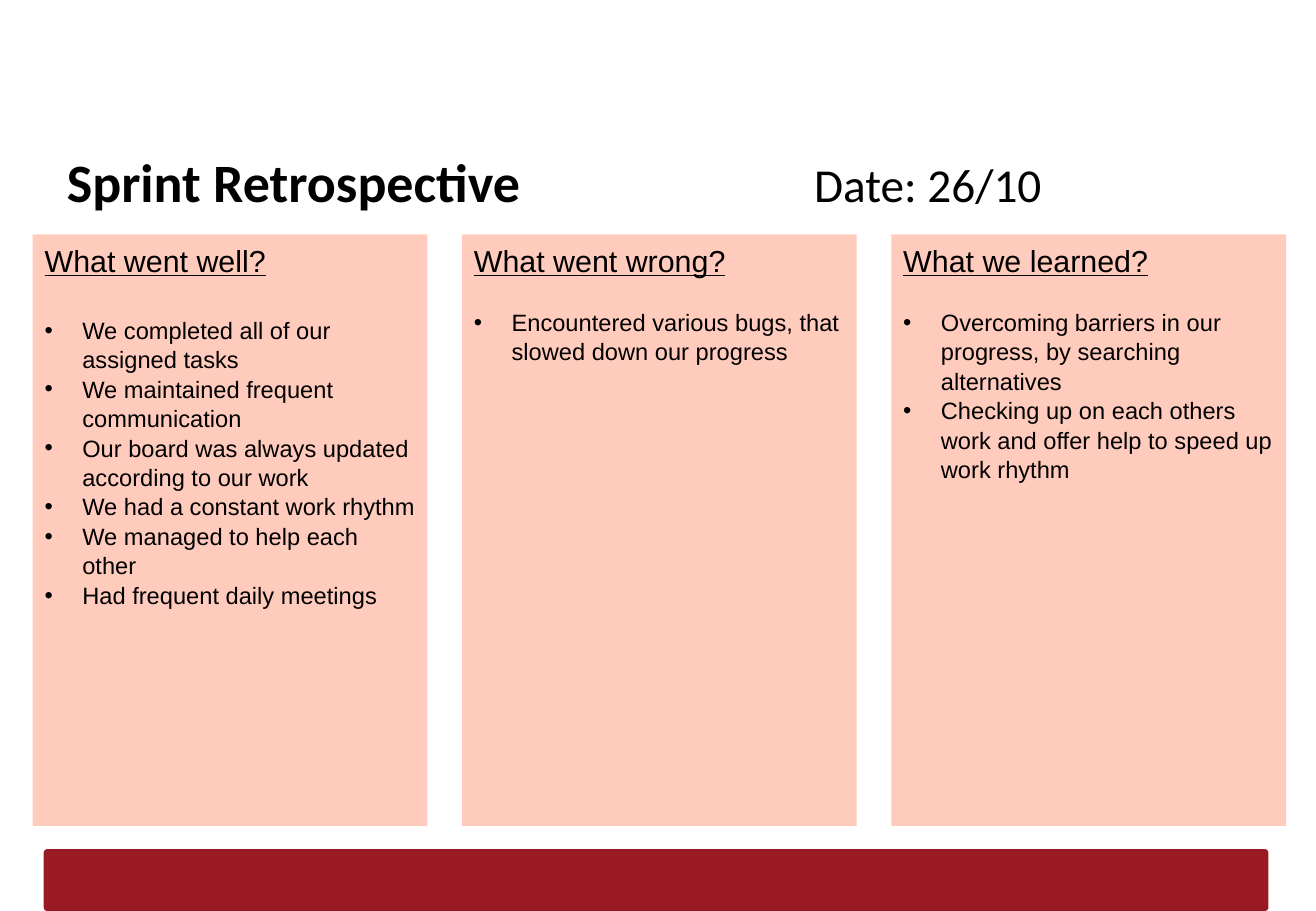
from lxml import etree
from pptx import Presentation
from pptx.dml.color import RGBColor
from pptx.enum.shapes import MSO_SHAPE
from pptx.enum.text import MSO_ANCHOR, MSO_AUTO_SIZE, PP_ALIGN
from pptx.oxml.ns import qn
from pptx.util import Inches, Pt

RECTANGLE = MSO_SHAPE.RECTANGLE
ROUNDED = MSO_SHAPE.ROUNDED_RECTANGLE
TOP = MSO_ANCHOR.TOP
LEFT = PP_ALIGN.LEFT
NO_AUTOFIT = MSO_AUTO_SIZE.NONE

WIDTH, HEIGHT = Inches(10.83), Inches(7.5)
COLORS = {"text": "000000", "panel": "FFCBBD", "bar": "9A1A24"}
LINE_SPACING = 1.04
BULLET_INDENT = Inches(0.31)
DATE_TAB = Inches(6.15)

# Boxes as percentages of the slide: left, top, width, height
TITLE_BOX = (4.16, 14.53, 91.32, 8.4)
FIRST_PANEL_BOX = (2.49, 25.73, 30, 64.93)
PANEL_STEP = 32.62
BAR_BOX = (3.32, 93.2, 93.07, 6.8)

# Heading, gap before the list in points, list items
PANELS = [
    ("What went well?", 21.5, [
        "We completed all of our assigned tasks",
        "We maintained frequent communication",
        "Our board was always updated according to our work",
        "We had a constant work rhythm",
        "We managed to help each other",
        "Had frequent daily meetings",
    ]),
    ("What went wrong?", 16.8, [
        "Encountered various bugs, that slowed down our progress",
    ]),
    ("What we learned?", 16.8, [
        "Overcoming barriers in our progress, by searching alternatives",
        "Checking up on each others work and offer help to speed up work rhythm",
    ]),
]


def place(box):
    """Turn percentages of the slide into lengths."""
    left, top, width, height = box
    return (int(WIDTH * left / 100), int(HEIGHT * top / 100),
            int(WIDTH * width / 100), int(HEIGHT * height / 100))


def write(paragraph, text, size, font="Arial", bold=False, underline=False):
    run = paragraph.add_run()
    run.text = text
    run.font.name = font
    run.font.size = Pt(size)
    run.font.bold = bold
    run.font.underline = underline
    run.font.color.rgb = RGBColor.from_string(COLORS["text"])


def add_bullet(paragraph):
    properties = paragraph._p.get_or_add_pPr()
    properties.set("marL", str(BULLET_INDENT))
    properties.set("indent", str(-BULLET_INDENT))
    etree.SubElement(properties, qn("a:buFont"), typeface="Arial")
    etree.SubElement(properties, qn("a:buChar"), char="•")


def add_block(slide, kind, box, color):
    shape = slide.shapes.add_shape(kind, *place(box))
    shape.shadow.inherit = False
    shape.fill.solid()
    shape.fill.fore_color.rgb = RGBColor.from_string(COLORS[color])
    shape.line.fill.background()
    return shape


def add_title(slide, box):
    title = slide.shapes.title
    title.left, title.top, title.width, title.height = place(box)
    frame = title.text_frame
    frame.auto_size = NO_AUTOFIT
    frame.vertical_anchor = TOP
    frame.margin_left = frame.margin_right = Inches(0.1)
    frame.margin_top, frame.margin_bottom = Inches(0.13), 0
    paragraph = frame.paragraphs[0]
    paragraph.alignment = LEFT
    # The tab stop holds the date on the right
    tabs = etree.SubElement(paragraph._p.get_or_add_pPr(), qn("a:tabLst"))
    etree.SubElement(tabs, qn("a:tab"), pos=str(DATE_TAB), algn="l")
    write(paragraph, "Sprint Retrospective\t", 32, font="Calibri", bold=True)
    write(paragraph, "Date: 26/10", 28, font="Calibri")


def add_panel(slide, box, heading, gap, items):
    frame = add_block(slide, RECTANGLE, box, "panel").text_frame
    frame.word_wrap = True
    frame.vertical_anchor = TOP
    write(frame.paragraphs[0], heading, 18, underline=True)
    for index, item in enumerate(items):
        paragraph = frame.add_paragraph()
        add_bullet(paragraph)
        if index == 0:
            paragraph.space_before = Pt(gap)
        write(paragraph, item, 14)
    for paragraph in frame.paragraphs:
        paragraph.alignment = LEFT
        paragraph.line_spacing = LINE_SPACING


def add_bar(slide, box):
    bar = add_block(slide, ROUNDED, box, "bar")
    bar.adjustments[0] = 0.06


def main():
    presentation = Presentation()
    presentation.slide_width, presentation.slide_height = WIDTH, HEIGHT
    slide = presentation.slides.add_slide(presentation.slide_layouts[5])
    add_bar(slide, BAR_BOX)
    add_title(slide, TITLE_BOX)
    left, *rest = FIRST_PANEL_BOX
    for column, panel in enumerate(PANELS):
        add_panel(slide, (left + column * PANEL_STEP, *rest), *panel)
    presentation.save("out.pptx")


if __name__ == "__main__":
    main()
